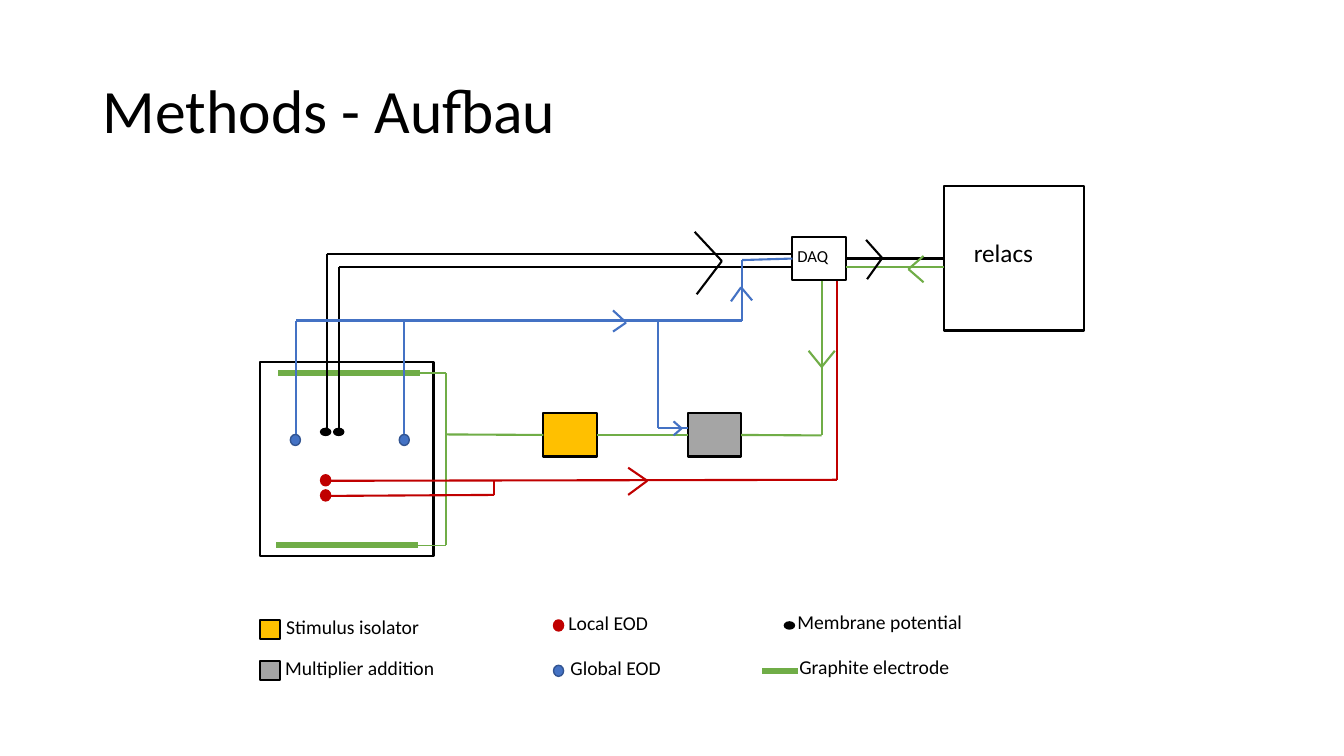
from lxml.etree import SubElement
from pptx import Presentation
from pptx.dml.color import RGBColor
from pptx.enum.shapes import MSO_CONNECTOR, MSO_SHAPE
from pptx.enum.text import MSO_ANCHOR, MSO_AUTO_SIZE, PP_ALIGN
from pptx.oxml.ns import qn
from pptx.util import Inches, Pt

BLACK, BLUE, NAVY = "000000", "4472C4", "325491"
GREEN, RED, GOLD, GRAY = "70AD47", "C00000", "FFC000", "A5A5A5"
TOP, LEFT, BOTTOM, RIGHT = range(4)


def rgb(color):
    return RGBColor.from_string(color)


def grid(*cells):
    """Turn grid columns or rows, ten to the inch, into lengths."""
    return [Inches(cell / 10) for cell in cells]


class Board:
    font = "Calibri"

    def __init__(self, slide):
        self.slide = slide
        self.shapes = slide.shapes

    def set_text(self, frame, text, size=14, color=BLACK, spacing=None):
        frame.word_wrap = True
        para = frame.paragraphs[0]
        para.text = text
        para.alignment = PP_ALIGN.LEFT
        para.line_spacing = spacing
        para.font.name = self.font
        para.font.size = Pt(size)
        para.font.color.rgb = rgb(color)

    def title(self, text, *cells):
        head = self.shapes.title
        head.left, head.top, head.width, head.height = grid(*cells)
        head.text_frame.vertical_anchor = MSO_ANCHOR.MIDDLE
        self.set_text(head.text_frame, text, size=44, spacing=0.9)

    def label(self, text, x, y, w=22.3, h=4, **style):
        frame = self.shapes.add_textbox(*grid(x, y, w, h)).text_frame
        self.set_text(frame, text, **style)
        frame.auto_size = MSO_AUTO_SIZE.SHAPE_TO_FIT_TEXT

    def mark(self, kind, x, y, w, h, fill, line, weight):
        shape = self.shapes.add_shape(kind, *grid(x, y, w, h))
        shape.shadow.inherit = False
        if fill:
            shape.fill.solid()
            shape.fill.fore_color.rgb = rgb(fill)
        else:
            shape.fill.background()
        shape.line.color.rgb = rgb(line)
        shape.line.width = Pt(weight)
        return shape

    def box(self, x, y, w=5.3, h=4.3, fill=None):
        return self.mark(MSO_SHAPE.RECTANGLE, x, y, w, h, fill, BLACK, 1.5)

    def dot(self, x, y, color):
        high = 0.7 if color == BLACK else 1.1
        edge = NAVY if color == BLUE else color
        self.mark(MSO_SHAPE.FLOWCHART_CONNECTOR, x, y, 1, high, color, edge, 1)

    def wire(self, color, *points, weight=1.5, start=None, end=None):
        """Join the points in turn; start and end are (box, side) pairs."""
        lines = []
        for here, there in zip(points, points[1:]):
            line = self.shapes.add_connector(
                MSO_CONNECTOR.STRAIGHT, *grid(*here, *there))
            line.line.color.rgb = rgb(color)
            line.line.width = Pt(weight)
            props = line.element.find(qn("p:spPr"))
            SubElement(props, qn("a:effectLst"))
            lines.append(line)
        if start:
            lines[0].begin_connect(*start)
        if end:
            lines[-1].end_connect(*end)

    def plate(self, x, y, w=14.1):
        self.wire(GREEN, (x, y), (x + w, y), weight=4.5)


def draw_parts(board):
    board.box(25.8, 35.9, 17.2, 19.3)
    iso = board.box(53.9, 41, fill=GOLD)
    mixer = board.box(68.2, 41, fill=GRAY)
    host = board.box(93.6, 18.5, 13.9, 14.3)
    daq = board.box(78.6, 23.5)
    board.plate(27.6, 37)
    board.plate(27.4, 54.1)
    for x in (28.8, 39.6):
        board.dot(x, 43.1, BLUE)
    for x in (31.8, 33.1):
        board.dot(x, 42.5, BLACK)
    for y in (47.1, 48.6):
        board.dot(31.8, y, RED)
    board.label("relacs", 95.6, 23, 10.3, 4.8, size=18)
    board.label("DAQ", 78.1, 23.9, 6.1, 3.6, size=12)
    return iso, mixer, host, daq


def draw_wires(board, iso, mixer, host, daq):
    wire = board.wire
    # Membrane potential
    for x, y in ((32.4, 25.2), (33.6, 26.5)):
        wire(BLACK, (x, 42.5), (x, y), (78.6, y))
    wire(BLACK, (83.9, 25.7), (93.6, 25.7),
         start=(daq, RIGHT), end=(host, LEFT))
    # Global EOD
    wire(BLUE, (29.4, 43.1), (29.4, 31.8), (73.6, 31.8), (73.6, 25.8),
         (78.6, 25.7), end=(daq, LEFT))
    wire(BLUE, (40.1, 43.1), (40.1, 31.8))
    wire(BLUE, (65.3, 31.8), (65.3, 42.5), (68.2, 42.5))
    # Stimulus
    wire(GREEN, (41.7, 37), (44.2, 37), weight=1)
    wire(GREEN, (41.5, 54.1), (44.2, 54.1), weight=1)
    wire(GREEN, (44.2, 37), (44.2, 54.1))
    wire(GREEN, (44.2, 43.1), (53.9, 43.1), end=(iso, LEFT))
    wire(GREEN, (59.2, 43.1), (68.2, 43.1),
         start=(iso, RIGHT), end=(mixer, LEFT))
    wire(GREEN, (73.5, 43.1), (81.5, 43.2), (81.5, 27.9),
         start=(mixer, RIGHT))
    wire(GREEN, (83.9, 26.5), (93.6, 26.5))
    # Local EOD
    wire(RED, (32.8, 47.7), (83, 47.6), (83, 27.9))
    wire(RED, (32.7, 49.2), (49, 49.1), (49, 47.7))
    # Open arrowheads: arm, tip, arm
    heads = (
        (BLACK, (68.9, 23), (71.6, 25.9), (69.1, 29.2)),
        (BLACK, (85.9, 23.8), (87.5, 25.6), (86, 27.7)),
        (BLUE, (72.5, 29.9), (73.5, 28.5), (74.6, 29.8)),
        (BLUE, (60.8, 30.8), (62.1, 32), (60.8, 32.9)),
        (BLUE, (66.8, 41.8), (67.6, 42.5), (66.8, 43.2)),
        (GREEN, (80.2, 34.8), (81.5, 36.4), (82.8, 34.8)),
        (GREEN, (91.6, 25.4), (90.1, 26.7), (91.6, 28)),
        (RED, (62.3, 46.4), (64.2, 47.7), (62.3, 49.1)),
    )
    for color, *points in heads:
        wire(color, *points)


def draw_key(board):
    for y, color in ((61.5, GOLD), (65.6, GRAY)):
        board.box(25.8, y, 2, 1.9, fill=color)
    for x, y, color in ((54.9, 61.5, RED), (54.9, 66, BLUE),
                        (77.8, 61.7, BLACK)):
        board.dot(x, y, color)
    board.plate(75.6, 66.6, 3.5)
    for text, x, y in (
        ("Stimulus isolator", 27.4, 60.5),
        ("Multiplier addition", 27.3, 64.6),
        ("Local EOD", 55.4, 60.1),
        ("Global EOD", 55.6, 64.6),
        ("Membrane potential", 78.1, 60),
        ("Graphite electrode", 78.3, 64.5),
    ):
        board.label(text, x, y)


def main():
    deck = Presentation()
    deck.slide_width, deck.slide_height = Inches(13.33), Inches(7.5)
    board = Board(deck.slides.add_slide(deck.slide_layouts[5]))
    board.title("Methods - Aufbau", 9.2, 4, 115, 14.5)
    draw_wires(board, *draw_parts(board))
    draw_key(board)
    deck.save("out.pptx")


if __name__ == "__main__":
    main()
